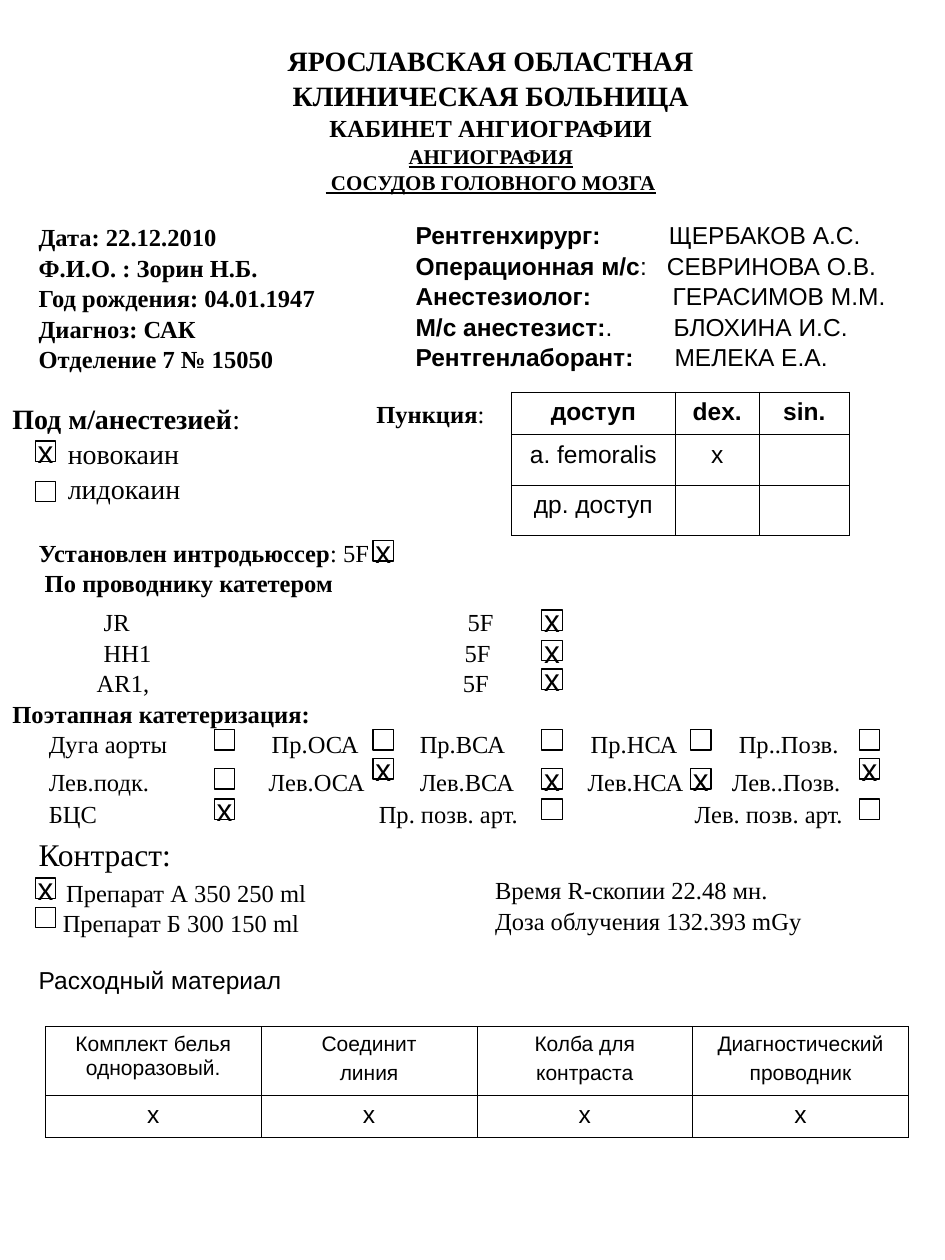
import pptx
import pptx.dml.color
import pptx.enum.shapes
import pptx.enum.text
import pptx.oxml
import pptx.oxml.ns
import pptx.util

Pt = pptx.util.Pt
ALIGN = pptx.enum.text.PP_ALIGN
ANCHOR = pptx.enum.text.MSO_ANCHOR
SERIF, SANS = "Times New Roman", "Arial"
INK = "000000"
CHECK_SIZE = 11.7


def colour(value):
    return pptx.dml.color.RGBColor.from_string(value)


def add_element(parent, xml):
    namespace = pptx.oxml.ns.nsdecls("a")
    parent.append(pptx.oxml.parse_xml(xml.replace(" NS", " " + namespace, 1)))


def set_tabs(para, stops):
    tabs = "".join(f'<a:tab pos="{int(Pt(stop))}" algn="l"/>' for stop in stops)
    add_element(para._p.get_or_add_pPr(), f"<a:tabLst NS>{tabs}</a:tabLst>")


def write_span(para, text, font=SERIF, size=14, bold=False, underline=False):
    span = para.add_run()
    span.text = text
    span.font.name = font
    span.font.size = Pt(size)
    span.font.bold = bold
    span.font.underline = underline
    span.font.color.rgb = colour(INK)


def write_lines(frame, lines, align=ALIGN.LEFT, spacing=1.04, **base):
    """Write one paragraph per line; a line is a list of spans and an options dict."""
    for index, (spans, options) in enumerate(lines):
        para = frame.paragraphs[0] if index == 0 else frame.add_paragraph()
        para.alignment = align
        para.line_spacing = spacing
        if "before" in options:
            para.space_before = Pt(options["before"])
        if "tabs" in options:
            set_tabs(para, options["tabs"])
        for text, style in spans:
            write_span(para, text, **{**base, **style})


def line(text, style=None, **options):
    return [(text, style or {})], options


def lead(label, rest, **options):
    """A bold label followed by regular text."""
    return [(label, {"bold": True}), (rest, {})], options


def add_text(page, left, top, width, height, lines, anchor=ANCHOR.TOP, **base):
    frame = page.shapes.add_textbox(Pt(left), Pt(top), Pt(width), Pt(height)).text_frame
    frame.word_wrap = True
    frame.vertical_anchor = anchor
    write_lines(frame, lines, **base)


def add_checkbox(page, left, top, mark=""):
    box = page.shapes.add_shape(pptx.enum.shapes.MSO_SHAPE.RECTANGLE,
                                Pt(left), Pt(top), Pt(CHECK_SIZE), Pt(CHECK_SIZE))
    box.shadow.inherit = False
    box.fill.background()
    box.line.color.rgb = colour(INK)
    box.line.width = Pt(0.75)
    if mark:
        box.text_frame.word_wrap = False
        box.text_frame.vertical_anchor = ANCHOR.MIDDLE
        write_lines(box.text_frame, [line(mark)], align=ALIGN.CENTER,
                    spacing=1.0, font=SANS, size=18)


def set_borders(cell, width=0.45):
    properties = cell._tc.get_or_add_tcPr()
    for side in ("lnL", "lnR", "lnT", "lnB"):
        add_element(properties, f'<a:{side} NS w="{int(Pt(width))}"><a:solidFill>'
                                f'<a:srgbClr val="{INK}"/></a:solidFill></a:{side}>')


def add_grid(page, left, top, widths, heights, rows, styles):
    """Draw a ruled table; styles holds the text format of each row."""
    table = page.shapes.add_table(len(heights), len(widths), Pt(left), Pt(top),
                                  Pt(sum(widths)), Pt(sum(heights))).table
    table.first_row = table.horz_banding = False
    for column, width in zip(table.columns, widths):
        column.width = Pt(width)
    for row, height in zip(table.rows, heights):
        row.height = Pt(height)
    for row, texts, style in zip(table.rows, rows, styles):
        for cell, text in zip(row.cells, texts):
            set_borders(cell)
            cell.fill.background()
            if text:
                first, *others = text.split("\n")
                lines = [line(first)] + [line(other, before=3) for other in others]
                write_lines(cell.text_frame, lines, align=ALIGN.CENTER,
                            spacing=1.0, font=SANS, **style)


def add_heading_and_patient(page):
    add_text(page, 37.4, 14.4, 486, 106.6, [
        line("ЯРОСЛАВСКАЯ ОБЛАСТНАЯ"),
        line("КЛИНИЧЕСКАЯ БОЛЬНИЦА"),
        line("КАБИНЕТ АНГИОГРАФИИ", {"size": 14}),
        line("АНГИОГРАФИЯ", {"size": 12, "underline": True}),
        line(" СОСУДОВ ГОЛОВНОГО МОЗГА", {"size": 12, "underline": True}),
    ], anchor=ANCHOR.MIDDLE, align=ALIGN.CENTER, size=16, bold=True)
    patient = ["Дата: 22.12.2010", "Ф.И.О. : Зорин Н.Б.", "Год рождения: 04.01.1947",
               "Диагноз: САК", "Отделение 7 № 15050"]
    add_text(page, 15, 82, 238, 175.7, [line(text) for text in patient],
             anchor=ANCHOR.MIDDLE, bold=True)
    staff = [("Рентгенхирург:", "\tЩЕРБАКОВ А.С.", 144.7),
             ("Операционная м/с", ":\tСЕВРИНОВА О.В.", 143.6),
             ("Анестезиолог:", "\tГЕРАСИМОВ М.М.", 146.9),
             ("М/с анестезист:", ".\tБЛОХИНА И.С.", 147.4),
             ("Рентгенлаборант:", "\tМЕЛЕКА Е.А.", 148)]
    add_text(page, 230.4, 121.7, 293, 91.4,
             [lead(role, name, tabs=[stop]) for role, name, stop in staff], font=SANS)


def add_procedure(page):
    add_text(page, 0, 225.4, 246, 66, [
        lead("Под м/анестезией", ":"),
        line("\tновокаин", tabs=[31.7]),
        line("\tлидокаин", tabs=[31.7]),
    ], size=16)
    add_text(page, 208, 224, 76.3, 24.5, [lead("Пункция", ":")])
    add_grid(page, 292.4, 224, [93.4, 48.2, 51.3], [24.3] * 3,
             [["доступ", "dex.", "sin."], ["a. femoralis", "х", ""], ["др. доступ", "", ""]],
             [{"bold": True}, {}, {}])
    add_text(page, 15, 303, 455, 41, [
        lead("Установлен интродьюcсер", ": 5F"),
        line(" По проводнику катетером", {"bold": True}),
    ])
    add_text(page, 0, 342.7, 540, 147, [
        line("\tJR\t5F", tabs=[52.2, 260.2]),
        line("\tHH1\t5F", tabs=[52.2, 258.5]),
        line("\tAR1,\t5F", tabs=[48.2, 257.4]),
        line("Поэтапная катетеризация:", {"bold": True}),
        line("\tДуга аорты\tПр.ОСА\tПр.ВСА\tПр.НСА\tПр..Позв.",
             tabs=[20.8, 148.2, 232.8, 330.5, 415.1]),
        line("\tЛев.подк.\tЛев.ОСА\tЛев.ВСА\tЛев.НСА\tЛев..Позв.",
             tabs=[20.8, 146.5, 232.8, 328.8, 411.1], before=4.2),
        line("\tБЦС\tПр. позв. арт.\tЛев. позв. арт.",
             tabs=[20.8, 209.4, 389.9], before=1),
    ])


def add_contrast_and_supplies(page):
    add_text(page, 15, 473, 268, 82, [
        line("Контраст:", {"size": 18}),
        line("\tПрепарат А 350 250 ml", tabs=[15.7], before=2),
        line("\tПрепарат Б 300 150 ml", tabs=[13.8]),
    ])
    add_text(page, 275.8, 496, 224.6, 41,
             [line("Время R-скопии 22.48 мн."), line("Доза облучения 132.393 mGy")])
    add_text(page, 15, 547.2, 465, 30, [line("Расходный материал")], font=SANS)
    add_grid(page, 26, 586.6, [123.3] * 4, [38.9, 24.3],
             [["Комплект белья одноразовый.", "Соединит\nлиния",
               "Колба для\nконтраста", "Диагностический\nпроводник"], ["х"] * 4],
             [{"size": 12}, {}])


def add_checkboxes(page):
    edge, first, second, third, fourth, fifth = 20.2, 122.4, 213.1, 309.6, 394.6, 491
    for left, top, mark in [
        (edge, 252, "х"), (edge, 275, ""), (second, 308.9, "х"),
        (third, 348.5, "x"), (third, 365.8, "х"), (third, 382.3, "x"),
        (first, 439.2, ""), (second, 433.4, "х"), (third, 439.2, "х"),
        (fourth, 439.2, "х"), (fifth, 433.4, "х"),
        (first, 456.5, "х"), (third, 456.5, ""), (fifth, 456.5, ""),
        (edge, 501.8, "х"), (edge, 518.4, ""),
    ]:
        add_checkbox(page, left, top, mark)
    for left in (first, second, third, fourth, fifth):
        add_checkbox(page, left, 416.9)


def main():
    deck = pptx.Presentation()
    deck.slide_width, deck.slide_height = Pt(540), Pt(720)
    page = deck.slides.add_slide(deck.slide_layouts[6])
    add_heading_and_patient(page)
    add_procedure(page)
    add_contrast_and_supplies(page)
    add_checkboxes(page)
    deck.save("out.pptx")


if __name__ == "__main__":
    main()
